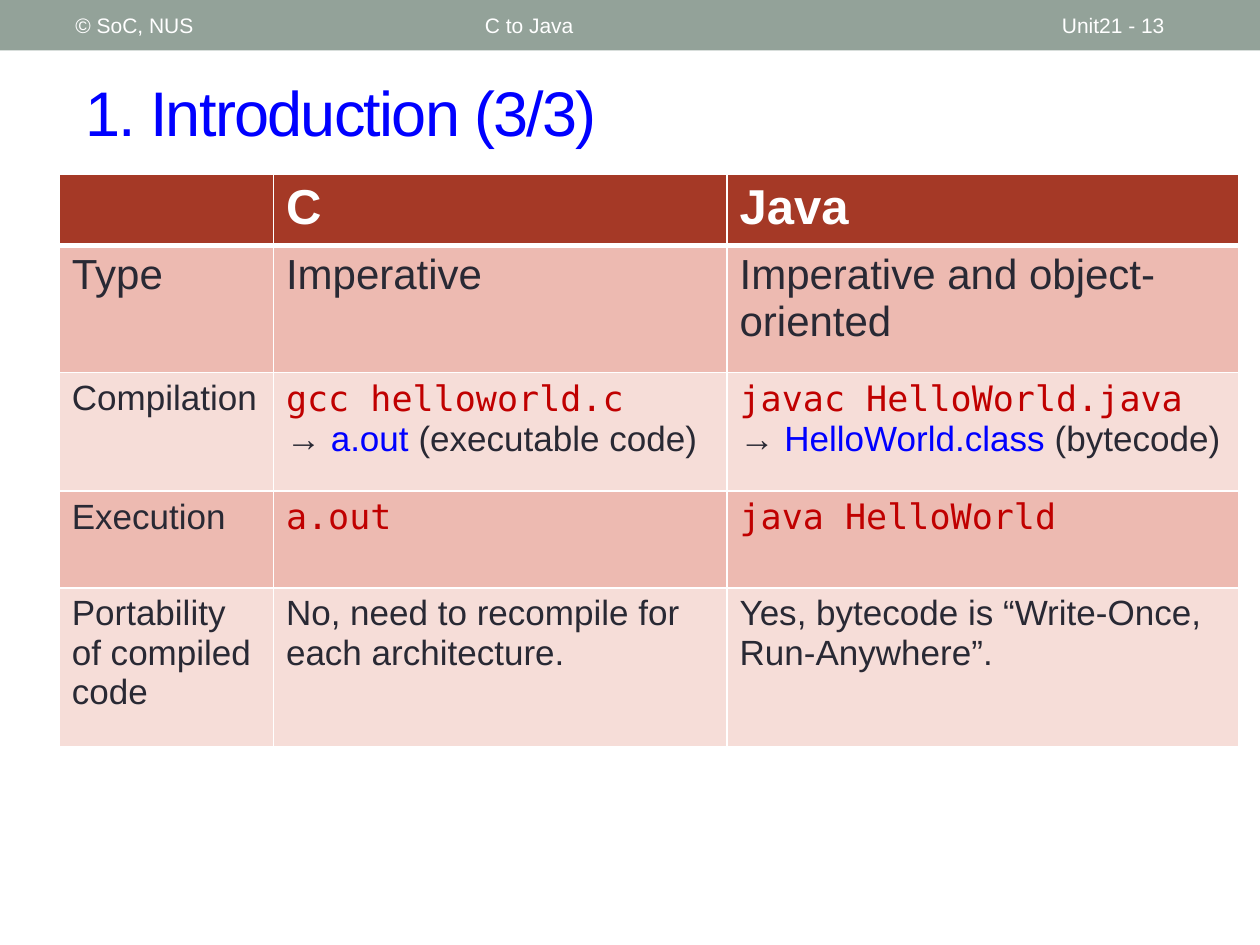
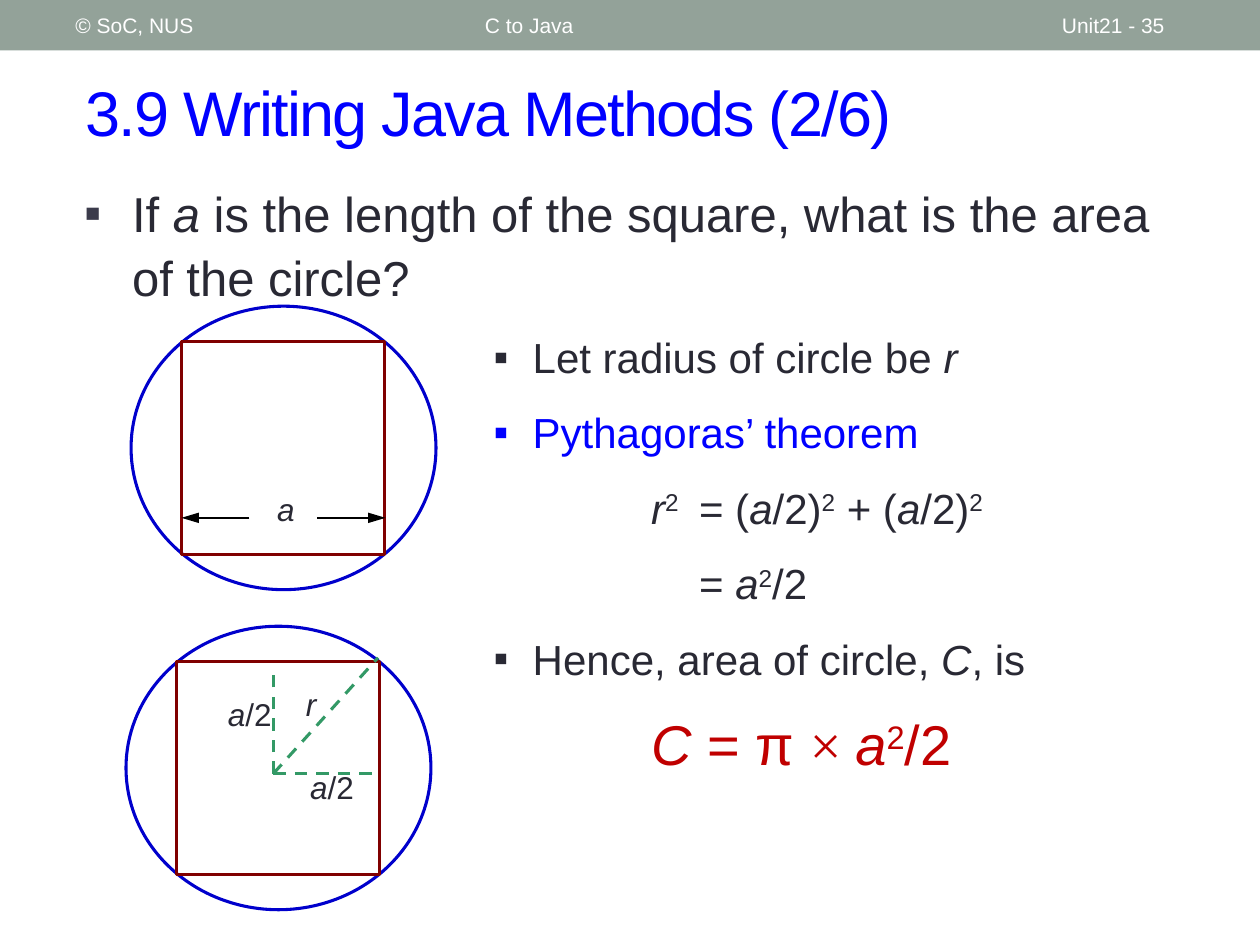
from lxml.etree import SubElement
from pptx import Presentation
from pptx.dml.color import RGBColor
from pptx.enum.dml import MSO_LINE
from pptx.enum.shapes import MSO_CONNECTOR, MSO_SHAPE
from pptx.enum.text import MSO_ANCHOR, PP_ALIGN
from pptx.oxml.ns import qn
from pptx.util import Inches, Pt

COLORS = {
    "band": "93A299", "white": "FFFFFF", "title": "0000FF", "text": "292934",
    "bullet": "3B3B4B", "code": "C00000", "header": "A53926", "odd_row": "EDBAB1",
    "even_row": "F6DDD8", "circle": "0000CC", "square": "800000",
    "arrow": "000000", "radius": "339966",
}
ITALIC = {"italic": True}
SUPER = {"baseline": 30000}
CODE = {"name": "DejaVu Sans Mono", "color": "code"}
BLUE = {"color": "title"}


def write(frame, paragraphs, **base):
    """Fill a text frame; a paragraph is a list of runs, a run a string or (string, formats)."""
    frame.word_wrap = True
    for index, runs in enumerate(paragraphs):
        paragraph = frame.add_paragraph() if index else frame.paragraphs[0]
        for item in runs:
            text, changes = (item, {}) if isinstance(item, str) else item
            run = paragraph.add_run()
            run.text = text
            for key, value in {"name": "Arial", "color": "text", **base, **changes}.items():
                if key == "color":
                    run.font.color.rgb = RGBColor.from_string(COLORS[value])
                elif key in ("baseline", "spc"):
                    run._r.get_or_add_rPr().set(key, str(value))
                else:
                    setattr(run.font, key, value)
    return frame


def add_line(slide, start, end, color, width):
    line = slide.shapes.add_connector(
        MSO_CONNECTOR.STRAIGHT, *[Inches(value) for value in (*start, *end)])
    line.line.color.rgb = RGBColor.from_string(COLORS[color])
    line.line.width = Pt(width)
    SubElement(line._element.spPr, qn("a:effectLst"))
    return line


presentation = Presentation()
presentation.slide_width, presentation.slide_height = Inches(10), Inches(7.5)

# Shared band, header texts and title
slides = []
for number, title in [(13, "1. Introduction (3/3)"), (35, "3.9 Writing Java Methods (2/6)")]:
    slide = presentation.slides.add_slide(presentation.slide_layouts[6])
    slides.append(slide)
    band = slide.shapes.add_shape(MSO_SHAPE.RECTANGLE, 0, 0, Inches(10), Inches(0.4))
    band.shadow.inherit = False
    band.fill.solid()
    band.fill.fore_color.rgb = RGBColor.from_string(COLORS["band"])
    band.line.fill.background()
    header_format = {"size": Pt(12), "color": "white"}
    for box, text, formats in [
        ((0.58, 0.42, 9.17, 0.92), title, {"size": Pt(36), "color": "title", "spc": -100}),
        ((3.75, 0.02, 4.5, 0.36), "C to Java", header_format),
        ((8.33, 0.02, 1.17, 0.36), f"Unit21 - {number}", header_format),
        ((0.5, 0.02, 3.17, 0.36), "© SoC, NUS", header_format),
    ]:
        textbox = slide.shapes.add_textbox(*[Inches(value) for value in box])
        write(textbox.text_frame, [[text]], **formats).vertical_anchor = MSO_ANCHOR.MIDDLE
comparison_slide, methods_slide = slides

# Slide 1: comparison of C and Java; each row has a height, a text size and its cells
rows = [
    (0.55, 28, [[], [["C"]], [["Java"]]]),
    (1.01, 24, [[["Type"]], [["Imperative"]], [["Imperative and object-oriented"]]]),
    (0.94, 20, [
        [["Compilation"]],
        [[("gcc helloworld.c", CODE)], ["→ ", ("a.out", BLUE), " (executable code)"]],
        [[("javac HelloWorld.java", CODE)], ["→ ", ("HelloWorld.class", BLUE), " (bytecode)"]],
    ]),
    (0.77, 20, [[["Execution"]], [[("a.out", CODE)]], [[("java HelloWorld", CODE)]]]),
    (1.26, 20, [
        [["Portability of compiled code"]],
        [["No, need to recompile for each architecture."]],
        [["Yes, bytecode is “Write-Once, Run-Anywhere”."]],
    ]),
]
table = comparison_slide.shapes.add_table(
    len(rows), 3, Inches(0.47), Inches(1.38), Inches(9.36), Inches(4.53)).table
for column, width in zip(table.columns, (1.7, 3.6, 4.06)):
    column.width = Inches(width)
for row_index, (height, size, contents) in enumerate(rows):
    table.rows[row_index].height = Inches(height)
    is_header = row_index == 0
    fill = "header" if is_header else "odd_row" if row_index % 2 else "even_row"
    for column_index, paragraphs in enumerate(contents):
        cell = table.cell(row_index, column_index)
        write(cell.text_frame, paragraphs, size=Pt(size), bold=is_header,
              color="white" if is_header else "text")
        for side in ("lnL", "lnR", "lnT", "lnB"):
            thick = (is_header and side == "lnB") or (row_index == 1 and side == "lnT")
            border = SubElement(cell._tc.get_or_add_tcPr(), qn(f"a:{side}"),
                                w=str(Pt(3 if thick else 1)))
            SubElement(SubElement(border, qn("a:solidFill")), qn("a:srgbClr"), val=COLORS["white"])
        cell.fill.solid()
        cell.fill.fore_color.rgb = RGBColor.from_string(COLORS[fill])

# Slide 2: question and derivation; paragraphs without a bullet are equations with tabs
question = [["If ", ("a", ITALIC), " is the length of the square, what is the area of the circle?"]]
half_squared = ["(", ("a", ITALIC), "/2)", ("2", SUPER)]
result = {"size": Pt(32), "color": "code"}
derivation = [
    ["Let radius of circle be ", ("r", ITALIC)],
    [("Pythagoras’ theorem", BLUE)],
    ["\t", ("r", ITALIC), ("2", SUPER), " \t= ", *half_squared, " + ", *half_squared],
    ["\t\t= ", ("a", ITALIC), ("2", SUPER), "/2"],
    ["Hence, area of circle, ", ("C", ITALIC), ", is"],
    ["\t", ("C", {**result, **ITALIC}), (" = π ", result),
     ("× ", {**result, "name": "Times New Roman"}), ("a", {**result, **ITALIC}),
     ("2", {**result, **SUPER}), ("/2", result)],
]
for box, paragraphs, size, indent, bullet_colors in [
    ((0.57, 1.37, 9.08, 1.05), question, 28, 0.38, {0: "bullet"}),
    ((3.82, 2.55, 5.07, 4.38), derivation, 24, 0.31, {0: "text", 1: "title", 4: "text"}),
]:
    textbox = methods_slide.shapes.add_textbox(*[Inches(value) for value in box])
    frame = write(textbox.text_frame, paragraphs, size=Pt(size))
    for index, paragraph in enumerate(frame.paragraphs):
        properties = paragraph._p.get_or_add_pPr()
        if index in bullet_colors:
            properties.set("marL", str(Inches(indent)))
            properties.set("indent", str(-Inches(indent)))
            SubElement(SubElement(properties, qn("a:buClr")), qn("a:srgbClr"),
                       val=COLORS[bullet_colors[index]])
            SubElement(properties, qn("a:buFont"), typeface="Arial")
            SubElement(properties, qn("a:buChar"), char="▪")
        else:
            tabs = SubElement(properties, qn("a:tabLst"))
            for position in (1.25, 1.63):
                SubElement(tabs, qn("a:tab"), pos=str(Inches(position)), algn="l")
        paragraph.line_spacing = 1.08
        if index:
            paragraph.space_before = Pt(12)

# Two circles, each around a square
for left, top in [(1.04, 2.43), (1, 4.97)]:
    for preset, offset_x, offset_y, width, height, color in [
        (MSO_SHAPE.OVAL, 0, 0, 2.42, 2.25, "circle"),
        (MSO_SHAPE.RECTANGLE, 0.4, 0.28, 1.61, 1.69, "square"),
    ]:
        shape = methods_slide.shapes.add_shape(
            preset, Inches(left + offset_x), Inches(top + offset_y), Inches(width), Inches(height))
        shape.shadow.inherit = False
        shape.fill.background()
        shape.line.color.rgb = RGBColor.from_string(COLORS[color])
        shape.line.width = Pt(1.75)

# Side length arrows and dashed radius triangle
for start_x, end_x in [(1.98, 1.44), (2.52, 3.06)]:
    arrow = add_line(methods_slide, (start_x, 4.11), (end_x, 4.11), "arrow", 1.5)
    SubElement(arrow.line._get_or_add_ln(), qn("a:tailEnd"), type="triangle", w="med", len="lg")
center = (2.17, 6.14)
for end in [(3, 6.14), (2.17, 5.3), (3, 5.22)]:
    add_line(methods_slide, center, end, "radius", 1.75).line.dash_style = MSO_LINE.DASH

for box, runs, alignment in [
    ((2.02, 3.84, 0.5, 0.5), [("a", ITALIC)], PP_ALIGN.CENTER),
    ((2.27, 6.05, 0.73, 0.5), [("a", ITALIC), "/2"], PP_ALIGN.CENTER),
    ((1.71, 5.47, 0.56, 0.5), [("a", ITALIC), "/2"], PP_ALIGN.LEFT),
    ((2.33, 5.39, 0.5, 0.5), [("r", ITALIC)], PP_ALIGN.LEFT),
]:
    label = methods_slide.shapes.add_textbox(*[Inches(value) for value in box])
    write(label.text_frame, [runs], size=Pt(18)).paragraphs[0].alignment = alignment

presentation.save("out.pptx")
